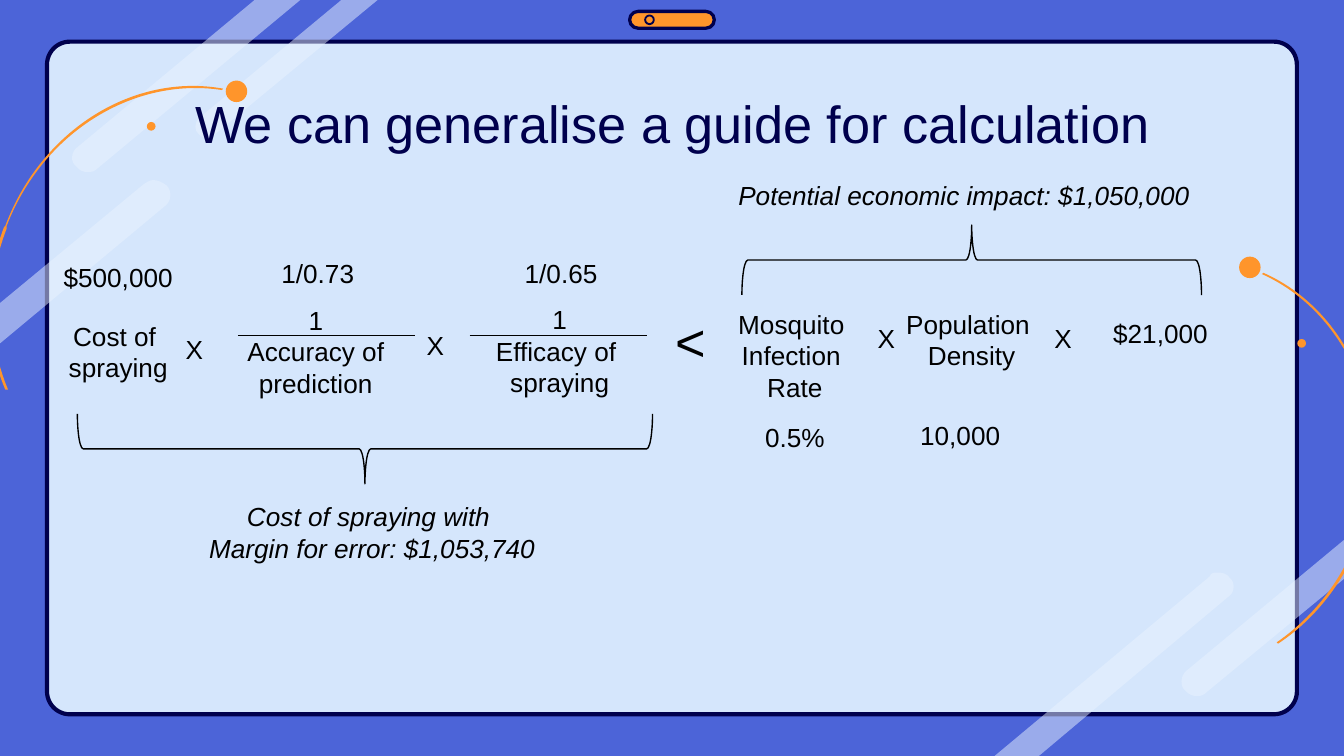
from collections import namedtuple
from lxml.etree import SubElement
from pptx import Presentation
from pptx.dml.color import RGBColor
from pptx.enum.shapes import MSO_CONNECTOR, MSO_SHAPE
from pptx.enum.text import PP_ALIGN
from pptx.oxml.ns import qn
from pptx.util import Inches, Pt

HUES = {"back": "4C64D8", "panel": "D5E6FC", "navy": "00004D",
        "gleam": "E9F3FF", "orange": "FF952B", "black": "000000"}
WIDE, HIGH = Inches(10), Inches(5.625)
UNIT = WIDE / 100  # square grid: 100 columns across the slide
Box = namedtuple("Box", "left top width height")


def hue(name):
    return RGBColor.from_string(HUES[name])


def spot(box, x, y):
    return round((box.left + x) * UNIT), round((box.top + y) * UNIT)


def paint(shape, fill=None, line=None, width=0.75):
    shape.shadow.inherit = False
    if fill:
        shape.fill.solid()
        shape.fill.fore_color.rgb = hue(fill)
    else:
        shape.fill.background()
    if line:
        shape.line.color.rgb = hue(line)
        shape.line.width = Pt(width)
    else:
        shape.line.fill.background()


def form(slide, kind, box, x, y, w, h, **look):
    shape = slide.shapes.add_shape(kind, *spot(box, x, y), round(w * UNIT), round(h * UNIT))
    paint(shape, **look)
    return shape


def trace(slide, box, steps, fill, alpha=None):
    """Closed outline: pairs are corners, sixes are cubic curves."""
    points = [spot(box, *step[i:i + 2]) for step in steps for i in range(0, len(step), 2)]
    pen = slide.shapes.build_freeform(*points[0], scale=1.0)
    pen.add_line_segments(points[1:], close=True)
    shape = pen.convert_to_shape()
    paint(shape, fill)
    # Join each run of three segments that stands for a curve
    lines = iter(shape._element.findall(".//" + qn("a:lnTo")))
    for step in steps[1:]:
        curve = next(lines)
        if len(step) == 6:
            curve.addprevious(bend := curve.makeelement(qn("a:cubicBezTo")))
            for part in (curve, next(lines), next(lines)):
                bend.append(part[0])
                part.getparent().remove(part)
    if alpha:
        tint = shape._element.spPr.find(".//" + qn("a:srgbClr"))
        SubElement(tint, qn("a:alpha")).set("val", str(alpha * 1000))


def label(slide, box, x, y, w, h, text, size=14, color="black",
          slant=None, align=PP_ALIGN.CENTER, inset=0.05):
    frame = slide.shapes.add_textbox(*spot(box, x, y), round(w * UNIT), round(h * UNIT)).text_frame
    frame.word_wrap = True
    frame.margin_top = frame.margin_bottom = Inches(inset)
    frame.text = text
    for para in frame.paragraphs:
        para.alignment = align
        font = para.font
        font.name, font.size, font.italic = "Arial", Pt(size), slant
        font.color.rgb = hue(color)


def brace(slide, box, x, y, w, h, turn):
    """Brace filling a flat box, turned from its upright form."""
    shape = form(slide, MSO_SHAPE.RIGHT_BRACE, box, x + (w - h) / 2, y + (h - w) / 2, h, w,
                 line="black")
    shape.rotation = turn


def panel(slide, box):
    card = form(slide, MSO_SHAPE.ROUNDED_RECTANGLE, box, 0, 0, box.width, box.height,
                fill="panel", line="navy", width=2.25)
    card.adjustments[0] = 0.034


def gleams(slide, box):
    streaks = [
        [(22.7, -0.3), (7.3, 12.5), (7, 12.8, 6.8, 12.8, 6.5, 12.8),
         (6.2, 12.8, 5.9, 12.7, 5.7, 12.4), (5.2, 12.1, 5.3, 11.3, 5.7, 11), (19.3, -0.3)],
        [(28.1, 0), (16, 10), (15.8, 10.3, 15.6, 10.3, 15.4, 10.3),
         (15.2, 10.3, 14.9, 10.1, 14.8, 10), (14.4, 9.7, 14.5, 9.1, 14.8, 8.8), (25.4, 0)],
        [(90.6, 42.6), (91, 42.6, 91.3, 42.7, 91.5, 43), (91.9, 43.3, 91.9, 44.1, 91.4, 44.4),
         (77, 56.5), (73.7, 56.5), (90, 42.9), (90.1, 42.6, 90.3, 42.6, 90.6, 42.6)],
        [(89.1, 51.8), (88.7, 51.8, 88.5, 51.7, 88.2, 51.4), (87.8, 51.1, 87.8, 50.3, 88.3, 49.9),
         (100.1, 40.1), (100.1, 42.8), (100.1, 43), (89.8, 51.5),
         (89.6, 51.7, 89.4, 51.8, 89.1, 51.8)],
        [(11.4, 13.4), (11.8, 13.4, 12.1, 13.6, 12.4, 13.8), (12.8, 14.2, 12.8, 15, 12.2, 15.4),
         (-0.3, 25.8), (-0.3, 23), (-0.3, 22.8), (10.7, 13.7),
         (10.9, 13.6, 11.1, 13.4, 11.4, 13.4)],
    ]
    for steps in streaks:
        trace(slide, box, steps, "gleam", 50)


def button(slide, box):
    pill = form(slide, MSO_SHAPE.ROUNDED_RECTANGLE, box, 0, 0, box.width, box.height,
                fill="orange", line="navy", width=1.75)
    pill.adjustments[0] = 0.5
    form(slide, MSO_SHAPE.OVAL, box, 1.15, 0.3, 0.65, 0.65, line="navy", width=1)


def orbit(slide, box, steps, small, large):
    trace(slide, box, steps, "orange")
    for (x, y), size in ((small, 0.65), (large, 1.6)):
        form(slide, MSO_SHAPE.OVAL, box, x - size / 2, y - size / 2, size, size, fill="orange")


def orbits(slide, box):
    orbit(slide, box,
          [(16.6, 6.6), (16.5, 6.7), (10, 5.7, 3.2, 9.8, 0.5, 16.8), (0.5, 17),
           (-1.1, 21.1, -0.9, 25.4, 0.6, 29), (0.4, 29), (-1.1, 25.5, -1.3, 21.1, 0.3, 16.9),
           (0.4, 16.8), (3.1, 9.6, 10, 5.4, 16.6, 6.6)],
          (11.25, 9.4), (17.6, 6.8))
    orbit(slide, box,
          [(94, 20.3), (93.9, 20.4), (99.9, 23.1, 103.4, 30.3, 101.7, 37.7), (101.7, 37.8),
           (100.7, 42.1, 98.2, 45.6, 95, 47.8), (95.1, 47.9), (98.3, 45.8, 100.9, 42.2, 101.9, 37.9),
           (101.9, 37.7), (103.5, 30.3, 100.1, 23, 94, 20.3)],
          (96.85, 25.55), (93, 19.9))


def terms(slide, box, items, signs):
    """Centred terms of one width, with the signs between them."""
    for x, y, h, text in items:
        label(slide, box, x, y, 19.7, h, text)
    for x, y in signs:
        label(slide, box, x, y, 4.5, 4, "X")


def cost(slide, box):
    terms(slide, box,
          [(-1.05, 0.95, 3.4, "$500,000"), (13.8, 0.65, 3.4, "1/0.73"), (31.9, 0.65, 3.4, "1/0.65"),
           (-1.05, 5.35, 7.1, "Cost of \nspraying"),
           (13.65, 4.15, 10.1, "1\nAccuracy of prediction"),
           (31.8, 4.1, 8.1, "1\nEfficacy of \nspraying")],
          [(12.2, 6.3), (30.15, 6)])
    # Fraction bars
    for x in (17.7, 34.95):
        bar = slide.shapes.add_connector(MSO_CONNECTOR.STRAIGHT, *spot(box, x, 6.97),
                                         *spot(box, x + 13.2, 6.97))
        bar.line.color.rgb = hue("black")
        bar.line.width = Pt(0.75)
        SubElement(bar._element.spPr, qn("a:effectLst"))
    brace(slide, box, 5.75, 12.8, 42.8, 5.2, 90)
    label(slide, box, 6.1, 18.75, 43.2, 5.7,
          "Cost of spraying with \nMargin for error: $1,053,740", slant=True)


def impact(slide, box):
    label(slide, box, 4.95, 0.85, 43.2, 3.4, "Potential economic impact: $1,050,000",
          slant=True, align=PP_ALIGN.LEFT)
    brace(slide, box, 6.2, 4.75, 34.2, 5.2, 270)
    terms(slide, box,
          [(0.3, 10.45, 8.1, "Mosquito \nInfection \nRate"),
           (13.45, 10.45, 5.7, "Population \nDensity"), (27.5, 11.1, 4, "$21,000"),
           (0.3, 18.85, 3.4, "0.5%"), (12.6, 18.7, 3.4, "10,000")],
          [(14.7, 11.5), (27.85, 11.5)])


def main():
    deck = Presentation()
    deck.slide_width, deck.slide_height = WIDE, HIGH
    slide = deck.slides.add_slide(deck.slide_layouts[6])
    slide.background.fill.solid()
    slide.background.fill.fore_color.rgb = hue("back")
    full = Box(0, 0, 100, 56.25)

    # Backdrop
    panel(slide, Box(3.5, 3.1, 93, 50.05))
    gleams(slide, full)
    button(slide, Box(46.85, 0.85, 6.3, 1.25))
    orbits(slide, full)

    # Title and inequality
    label(slide, full, 7.9, 5.8, 84.2, 6.3, "We can generalise a guide for calculation",
          size=28, color="navy", inset=0.1)
    cost(slide, Box(0, 18, 49, 25))
    label(slide, full, 49.15, 22.5, 4.5, 5.7, "<", size=28)
    impact(slide, Box(49, 12, 48, 23))
    deck.save("out.pptx")


if __name__ == "__main__":
    main()
